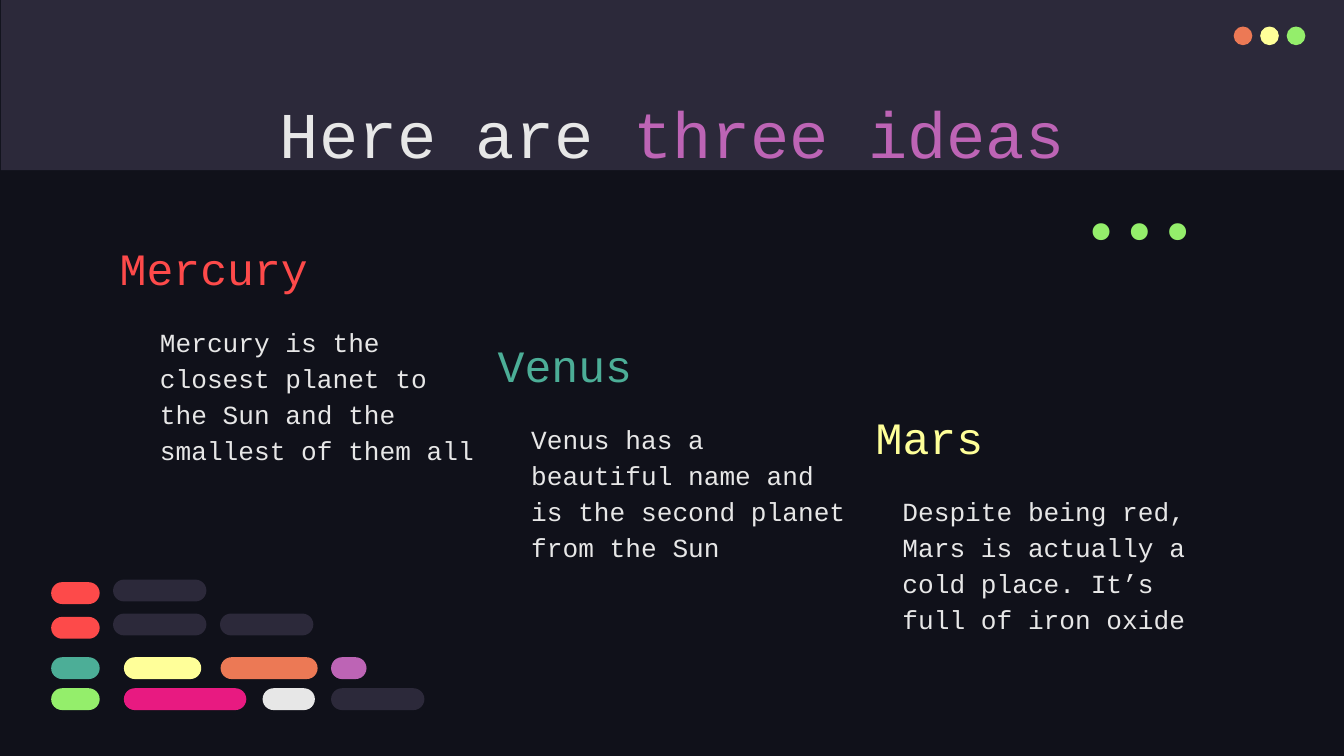
import pptx
import pptx.dml.color
import pptx.enum.shapes
import pptx.enum.text
import pptx.util
from dataclasses import dataclass

Pt = pptx.util.Pt
Kind = pptx.enum.shapes.MSO_SHAPE
Align = pptx.enum.text.PP_ALIGN
Anchor = pptx.enum.text.MSO_ANCHOR


@dataclass(frozen=True)
class Theme:
    """Colours, fonts and type sizes of the deck."""
    night: str = "10111A"
    panel: str = "2C293A"
    white: str = "E7E7E7"
    red: str = "FD4A4A"
    teal: str = "4CAE97"
    yellow: str = "FFFF99"
    orange: str = "EC7955"
    purple: str = "BD64B5"
    green: str = "94EE6B"
    pink: str = "E81A81"
    font: str = "Courier New"
    code_font: str = "Fira Code"
    title: int = 35
    heading: int = 24
    body: int = 14
    ellipsis: int = 50


THEME = Theme()


def rgb(colour):
    """Return a colour object for a hex value."""
    return pptx.dml.color.RGBColor.from_string(colour)


def add_block(shapes, kind, box, colour):
    """Add a flat filled shape without an outline."""
    block = shapes.add_shape(kind, *map(Pt, box))
    block.shadow.inherit = False
    block.fill.solid()
    block.fill.fore_color.rgb = rgb(colour)
    block.line.fill.background()
    return block


def add_words(slide, box, parts, size, font=THEME.font, align=Align.LEFT,
              anchor=Anchor.TOP, spacing=None, inset_top=7.2):
    """Add one paragraph made of (text, colour) parts."""
    frame = slide.shapes.add_textbox(*map(Pt, box)).text_frame
    frame.word_wrap = True
    frame.vertical_anchor = anchor
    frame.margin_left = frame.margin_right = frame.margin_bottom = Pt(7.2)
    frame.margin_top = Pt(inset_top)
    paragraph = frame.paragraphs[0]
    paragraph.alignment = align
    paragraph.line_spacing = spacing
    for text, colour in parts:
        run = paragraph.add_run()
        run.text = text
        run.font.name = font
        run.font.size = Pt(size)
        run.font.color.rgb = rgb(colour)


def add_header(slide, box):
    """Draw the title band with its window lights."""
    left, top, width, height = box
    add_block(slide.shapes, Kind.RECTANGLE, box, THEME.panel)
    lights = slide.shapes.add_group_shape().shapes
    for index, colour in enumerate((THEME.orange, THEME.yellow, THEME.green)):
        light = (left + 660.4 + index * 14.2, top + 14.2, 10, 10)
        add_block(lights, Kind.OVAL, light, colour)
    add_words(slide, (left + 56.2, top + 35.3, 607, 45.4),
              [("Here are ", THEME.white), ("three ideas", THEME.purple)],
              THEME.title, align=Align.CENTER, inset_top=14.4)


def add_idea(slide, box, body_indent, name, colour, description):
    """Place a planet name above its indented description."""
    left, top, width, height = box
    name_height = 52
    add_words(slide, (left, top, width, name_height), [(name, colour)],
              THEME.heading, anchor=Anchor.BOTTOM, spacing=1.15)
    add_words(slide, (left + body_indent, top + name_height, 187, height - name_height),
              [(description, THEME.white)], THEME.body, spacing=1.15)


def add_code_pills(slide, box):
    """Draw rows of coloured pills that resemble lines of code."""
    left, top, width, height = box
    pill_height = 11.7
    rows = (
        (0, ((33.2, 50, THEME.panel),)),
        (1.4, ((0, 26, THEME.red),)),
        (18.2, ((33.2, 50, THEME.panel), (90.5, 50, THEME.panel))),
        (20, ((0, 26, THEME.red),)),
        (41.6, ((0, 26, THEME.teal), (39, 41.4, THEME.yellow),
                (90.8, 52, THEME.orange), (150, 19, THEME.purple))),
        (58.2, ((0, 26, THEME.green), (39, 65.6, THEME.pink),
                (113.3, 28, THEME.white), (150, 50, THEME.panel))),
    )
    pills = slide.shapes.add_group_shape().shapes
    for offset, row in rows:
        for start, length, colour in row:
            pill = add_block(pills, Kind.ROUNDED_RECTANGLE,
                             (left + start, top + offset, length, pill_height), colour)
            pill.adjustments[0] = 0.5


def main():
    """Build the three ideas slide."""
    deck = pptx.Presentation()
    deck.slide_width, deck.slide_height = Pt(720), Pt(405)
    slide = deck.slides.add_slide(deck.slide_layouts[6])
    slide.background.fill.solid()
    slide.background.fill.fore_color.rgb = rgb(THEME.night)
    add_header(slide, (0.5, 0, 720, 91.2))
    ideas = (
        (57, 113, 21.6, "Mercury", THEME.red,
         "Mercury is the closest planet to the Sun and the smallest of them all"),
        (259.5, 165, 18, "Venus", THEME.teal,
         "Venus has a beautiful name and is the second planet from the Sun"),
        (462, 203.5, 14.4, "Mars", THEME.yellow,
         "Despite being red, Mars is actually a cold place. It’s full of iron oxide"),
    )
    for left, top, indent, name, colour, description in ideas:
        add_idea(slide, (left, top, 190, 159.3), indent, name, colour, description)
    add_code_pills(slide, (27.4, 310.5, 200, 70))
    add_words(slide, (550, 102.2, 113.8, 43.2), [("...", THEME.green)], THEME.ellipsis,
              font=THEME.code_font, align=Align.RIGHT, anchor=Anchor.BOTTOM)
    deck.save("out.pptx")


if __name__ == "__main__":
    main()
